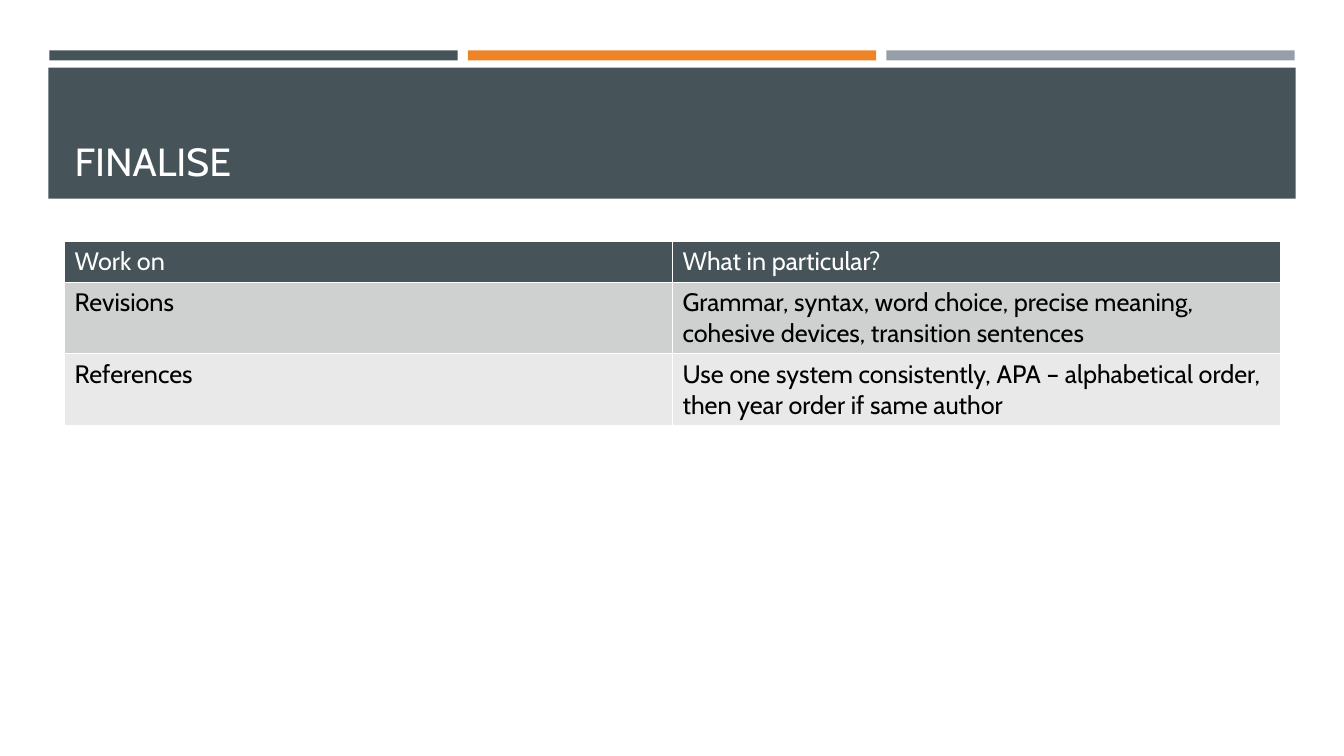
from lxml.etree import SubElement
from pptx import Presentation
from pptx.dml.color import RGBColor
from pptx.enum.shapes import MSO_SHAPE as Shape
from pptx.enum.text import MSO_ANCHOR as Anchor, PP_ALIGN as Align
from pptx.oxml.ns import qn
from pptx.util import Inches, Pt

FONT = "Cabin"
SLATE = RGBColor(0x46, 0x53, 0x59)
ORANGE = RGBColor(0xED, 0x84, 0x28)
GREY = RGBColor(0x96, 0x9F, 0xA7)
WHITE = RGBColor(0xFF, 0xFF, 0xFF)
BLACK = RGBColor(0, 0, 0)
ROW_FILLS = [SLATE, RGBColor(0xCF, 0xD1, 0xD1), RGBColor(0xE9, 0xE9, 0xEA)]

ROWS = [
    ("Work on", "What in particular?"),
    ("Revisions", "Grammar, syntax, word choice, precise meaning, "
                  "cohesive devices, transition sentences"),
    ("References", "Use one system consistently, APA – alphabetical order, "
                   "then year order if same author"),
]
ROW_HEIGHTS = [0.41, 0.7, 0.7]


def style_text(tf, size, color):
    for p in tf.paragraphs:
        p.alignment = Align.LEFT
        for r in p.runs:
            r.font.name = FONT
            r.font.size = Pt(size)
            r.font.bold = False
            r.font.color.rgb = color


def add_bar(s, x, y, w, h, color):
    sp = s.shapes.add_shape(Shape.RECTANGLE, Inches(x), Inches(y), Inches(w), Inches(h))
    sp.shadow.inherit = False
    sp.fill.solid()
    sp.fill.fore_color.rgb = color
    sp.line.fill.background()
    return sp


def add_title(s, text):
    band = add_bar(s, 0.48, 0.67, 12.37, 1.3, SLATE)
    title = s.shapes.title
    title.element.addprevious(band.element)  # keep the band behind the title
    title.left, title.top = Inches(0.64), Inches(0.77)
    title.width, title.height = Inches(12.06), Inches(1.11)
    tf = title.text_frame
    tf.text = text
    tf.vertical_anchor = Anchor.BOTTOM
    style_text(tf, 28, WHITE)


def set_borders(cell, bottom_width):
    tc_pr = cell._tc.get_or_add_tcPr()
    for i, (side, width) in enumerate(
            [("lnL", 1), ("lnR", 1), ("lnT", 1), ("lnB", bottom_width)]):
        ln = SubElement(tc_pr, qn(f"a:{side}"), w=str(Pt(width)))
        fill = SubElement(ln, qn("a:solidFill"))
        SubElement(fill, qn("a:srgbClr"), val=str(WHITE))
        tc_pr.insert(i, ln)  # borders come before the cell fill


def add_work_table(s):
    table = s.shapes.add_table(len(ROWS), 2, Inches(0.64), Inches(2.39),
                               Inches(12.06), Inches(sum(ROW_HEIGHTS))).table
    for i, texts in enumerate(ROWS):
        table.rows[i].height = Inches(ROW_HEIGHTS[i])
        for j, text in enumerate(texts):
            cell = table.cell(i, j)
            cell.text = text
            cell.fill.solid()
            cell.fill.fore_color.rgb = ROW_FILLS[i]
            style_text(cell.text_frame, 18, BLACK if i else WHITE)
            set_borders(cell, 1)


def main():
    prs = Presentation()
    prs.slide_width, prs.slide_height = Inches(13.33), Inches(7.5)
    s = prs.slides.add_slide(prs.slide_layouts[5])

    # Coloured bars above the title
    for i, color in enumerate([SLATE, ORANGE, GREY]):
        add_bar(s, 0.49 + 4.15 * i, 0.5, 4.05, 0.1, color)

    # Title band and table
    add_title(s, "FINALISE")
    add_work_table(s)

    prs.save("out.pptx")


if __name__ == "__main__":
    main()
